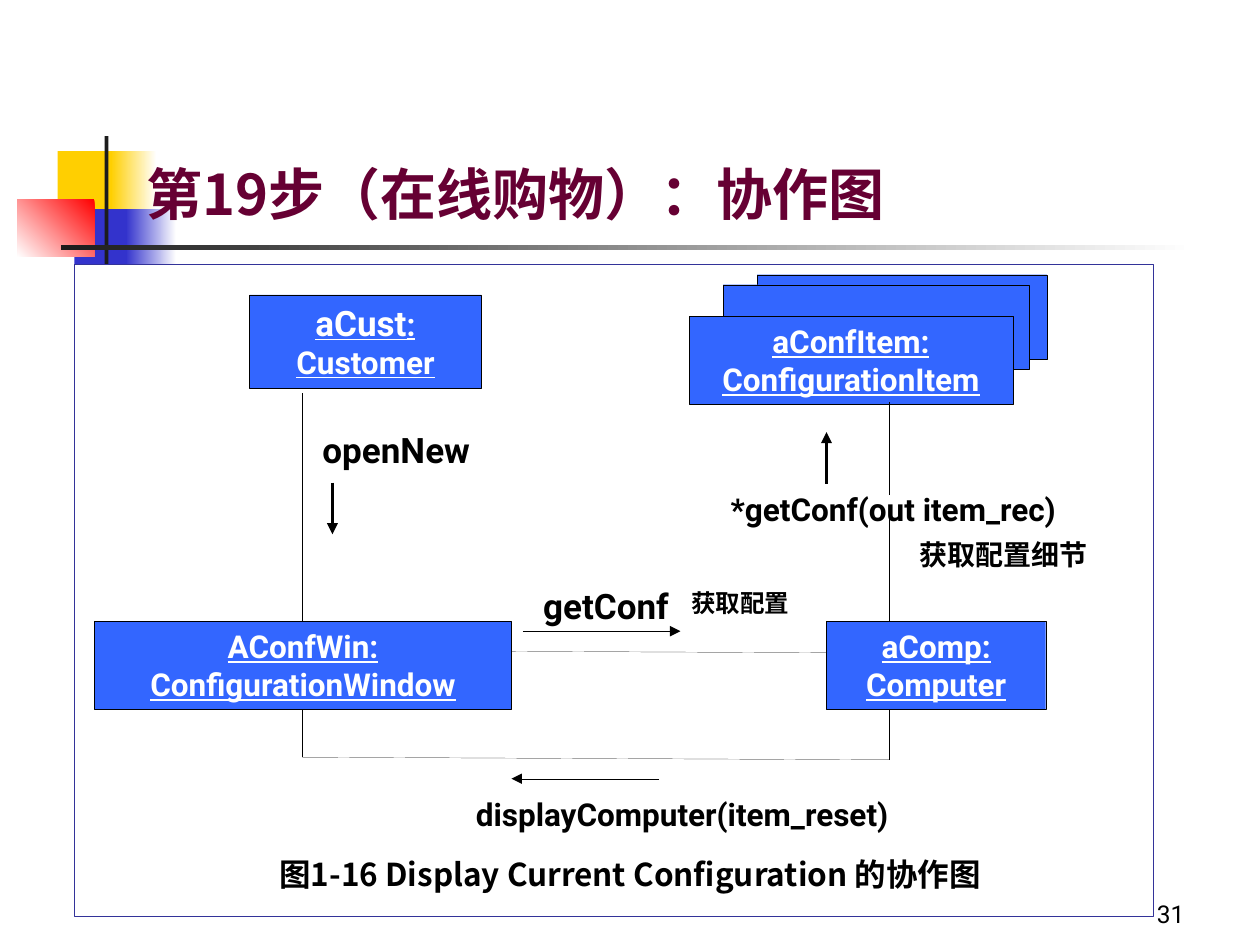
from lxml.etree import SubElement
from pptx import Presentation
from pptx.dml.color import RGBColor
from pptx.enum.shapes import MSO_CONNECTOR, MSO_SHAPE
from pptx.enum.text import MSO_ANCHOR, MSO_AUTO_SIZE, PP_ALIGN
from pptx.oxml.ns import qn
from pptx.util import Pt

COLORS = {
    "yellow": "FFCF01", "blue": "3333CC", "red": "FF0000", "dark": "1C1C1C",
    "white": "FFFFFF", "black": "000000", "object": "3366FF",
    "frame": "333399", "title": "660033",
}
LATIN, CHINESE = "Roboto", "Noto Sans CJK SC"
HAIRLINE, THICK = 0.11, 2.1
LEFT_LINK, RIGHT_LINK = 172.8, 508


def rgb(name):
    return RGBColor.from_string(COLORS[name])


def add_box(slide, left, top, width, height, fill, line=None):
    box = slide.shapes.add_shape(
        MSO_SHAPE.RECTANGLE, Pt(left), Pt(top), Pt(width), Pt(height))
    box.shadow.inherit = False
    box.fill.solid()
    box.fill.fore_color.rgb = rgb(fill)
    if line:
        box.line.color.rgb = rgb(line)
        box.line.width = Pt(HAIRLINE)
    else:
        box.line.fill.background()
    return box


def add_fade(slide, left, top, width, height, start, end, angle=180):
    """Add a borderless box whose colour runs from start to end."""
    fill = add_box(slide, left, top, width, height, start).fill
    fill.gradient()
    fill.gradient_angle = angle
    for stop, color in zip(fill.gradient_stops, (start, end)):
        stop.color.rgb = rgb(color)


def write(frame, text, size, color="black", font=LATIN, bold=True,
          align=PP_ALIGN.CENTER, anchor=MSO_ANCHOR.TOP, underline=None):
    """Fill a text frame with one paragraph and format it."""
    frame.word_wrap = True
    frame.auto_size = MSO_AUTO_SIZE.NONE
    frame.vertical_anchor = anchor
    paragraph = frame.paragraphs[0]
    paragraph.text = text
    paragraph.alignment = align
    style = paragraph.font
    style.size, style.bold, style.underline = Pt(size), bold, underline
    style.color.rgb = rgb(color)
    style.name = font
    defaults = paragraph._p.pPr.find(qn("a:defRPr"))
    SubElement(defaults, qn("a:ea"), typeface=font)
    return paragraph


def add_label(slide, left, top, width, height, text, size, **style):
    label = slide.shapes.add_textbox(
        Pt(left), Pt(top), Pt(width), Pt(height))
    write(label.text_frame, text, size, **style)


def add_object(slide, left, top, width, height, name=""):
    """Add a UML object box; its underlined name wraps after the colon."""
    box = add_box(slide, left, top, width, height, "object", "black")
    if name:
        return write(box.text_frame, name, 18, "white", underline=True)


def add_line(slide, x1, y1, x2, y2, color="black", width=HAIRLINE, arrow=False):
    link = slide.shapes.add_connector(
        MSO_CONNECTOR.STRAIGHT, Pt(x1), Pt(y1), Pt(x2), Pt(y2))
    link.line.color.rgb = rgb(color)
    link.line.width = Pt(width)
    if arrow:
        SubElement(link.line._ln, qn("a:tailEnd"), type="triangle")
    SubElement(link._element.spPr, qn("a:effectLst"))


def add_decoration(slide):
    add_box(slide, 33, 86.4, 34.5, 37.5, "yellow")
    add_fade(slide, 63.4, 86.4, 26, 37.5, "white", "yellow")
    add_box(slide, 42.5, 119.5, 33, 37.5, "blue")
    add_fade(slide, 72, 119.5, 28.8, 37.5, "white", "blue")
    add_fade(slide, 10, 113.8, 44, 33, "red", "white", 225)
    add_box(slide, 59.8, 77.8, 2.2, 82.8, "dark")
    add_fade(slide, 34.6, 140.2, 648, 2.4, "white", "dark")


def set_title(slide, text):
    title = slide.shapes.title
    title.left, title.top = Pt(76.3), Pt(43.2)
    title.width, title.height = Pt(613.5), Pt(90)
    write(title.text_frame, text, 32, "title", CHINESE,
          align=PP_ALIGN.LEFT, anchor=MSO_ANCHOR.BOTTOM)
    slide.shapes._spTree.append(title._element)  # in front of the decoration


def add_objects(slide):
    customer = add_object(slide, 142.6, 168.5, 132.5, 53.3, "")
    customer = write(slide.shapes[-1].text_frame, "aCust", 18, "white",
                     underline=True)
    customer.runs[0].font.size = Pt(20)
    customer.add_run().text = ": Customer"
    add_object(slide, 54, 355, 238.3, 50.4, "AConfWin: ConfigurationWindow")
    add_object(slide, 472.3, 355, 125.3, 50.4, "aComp: Computer")
    add_object(slide, 432.7, 157, 165.6, 48.2)
    add_object(slide, 413.3, 162.7, 175, 48.2)
    add_object(slide, 393.8, 180.7, 185, 50.4, "aConfItem: ConfigurationItem")


def add_links(slide):
    for ends in (
        (LEFT_LINK, 224.6, LEFT_LINK, 355),
        (292.3, 372.2, 472.3, 373),
        (LEFT_LINK, 406, LEFT_LINK, 432.7),
        (RIGHT_LINK, 406, RIGHT_LINK, 434.2),
        (LEFT_LINK, 432.7, RIGHT_LINK, 434.2),
        (RIGHT_LINK, 355, RIGHT_LINK, 294.5),
        (RIGHT_LINK, 283, RIGHT_LINK, 230),
    ):
        add_line(slide, *ends)


def add_messages(slide):
    for x1, y1, x2, y2, width in (
        (190, 275.8, 190, 305.3, THICK),
        (298.8, 360.7, 388.8, 360.7, HAIRLINE),
        (376.6, 445, 292.3, 445, HAIRLINE),
        (472.3, 276.5, 472.3, 247, THICK),
    ):
        add_line(slide, x1, y1, x2, y2, width=width, arrow=True)
    add_label(slide, 161.3, 241.2, 130.3, 31.7, "openNew", 20)
    add_label(slide, 274.3, 330.5, 144, 31.7, "getConf", 20)
    add_label(slide, 238.3, 450.7, 303, 28.8, "displayComputer(item_reset)", 18)
    add_label(slide, 388.8, 276.5, 243.4, 28.8, "*getConf(out item_rec)", 18)
    notes = {"font": CHINESE, "align": PP_ALIGN.LEFT}
    add_label(slide, 388, 332.6, 79.2, 24.5, "获取配置", 14, **notes)
    add_label(slide, 518.4, 303.8, 124.6, 26.6, "获取配置细节", 16, **notes)


def main():
    deck = Presentation()
    deck.slide_width, deck.slide_height = Pt(720), Pt(540)
    slide = deck.slides.add_slide(deck.slide_layouts[5])
    add_decoration(slide)
    set_title(slide, "第19步（在线购物）：协作图")
    add_box(slide, 42.5, 151.2, 616.3, 372.2, "white", "frame")
    add_objects(slide)
    add_links(slide)
    add_messages(slide)
    add_label(slide, 147.6, 485.3, 425, 50.4,
              "图1-16 Display Current Configuration 的协作图", 18, font=CHINESE)
    add_label(slide, 534.2, 498.2, 149.8, 36, "31", 14, bold=False,
              align=PP_ALIGN.RIGHT, anchor=MSO_ANCHOR.BOTTOM)
    deck.save("out.pptx")


if __name__ == "__main__":
    main()
